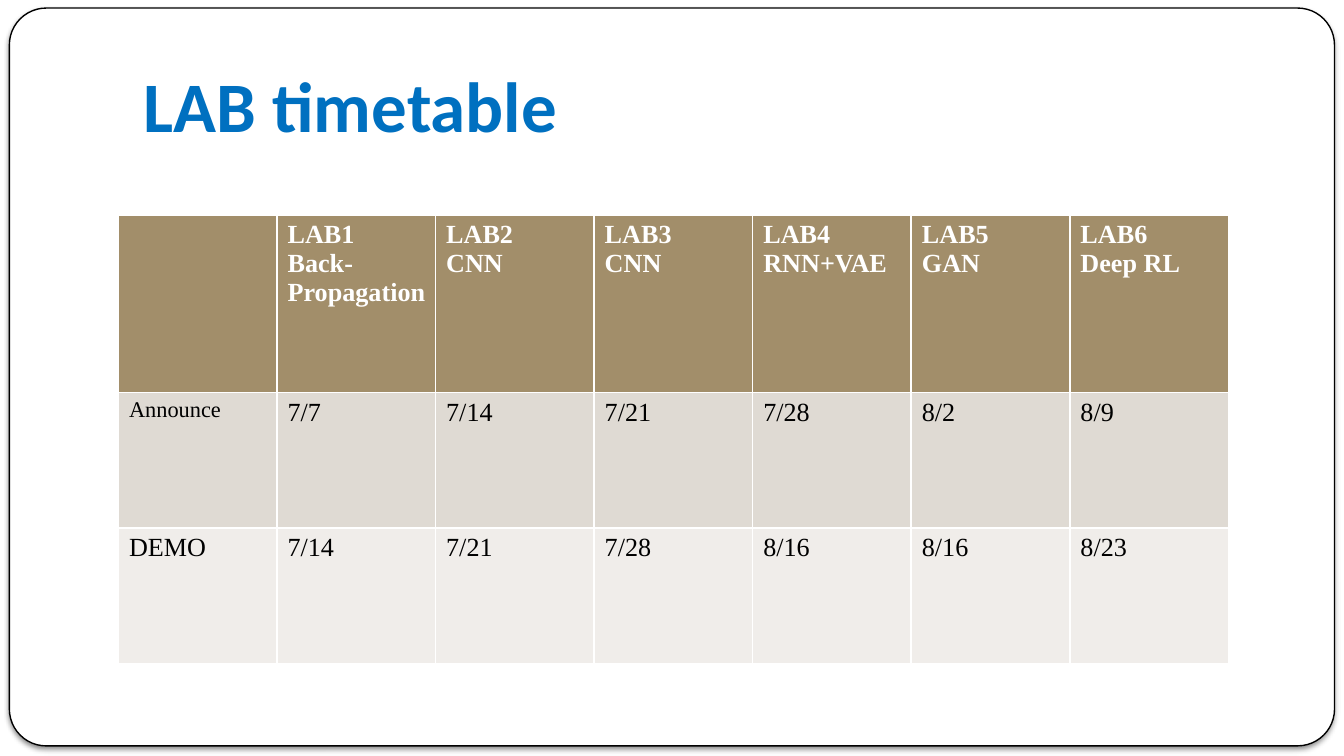
from dataclasses import dataclass

from lxml import etree
from pptx import Presentation
from pptx.dml.color import RGBColor
from pptx.enum.shapes import MSO_SHAPE
from pptx.enum.text import MSO_ANCHOR, PP_ALIGN
from pptx.oxml import parse_xml
from pptx.oxml.ns import qn
from pptx.util import Inches, Pt

ROUNDED = MSO_SHAPE.ROUNDED_RECTANGLE
BOTTOM = MSO_ANCHOR.BOTTOM
LEFT = PP_ALIGN.LEFT
A_NS = "http://schemas.openxmlformats.org/drawingml/2006/main"


@dataclass(frozen=True)
class Theme:
    white: str = "FFFFFF"
    black: str = "000000"
    blue: str = "0070C0"
    header: str = "A28E6A"
    bands: tuple = ("DFDAD3", "F0EDEA")
    title_font: str = "Calibri"
    body_font: str = "Times New Roman"
    title_size: int = 38
    body_size: int = 14
    small_size: int = 12
    rule: float = 0.96


THEME = Theme()
HEADINGS = ["", "LAB1\nBack-Propagation", "LAB2\nCNN", "LAB3\nCNN",
            "LAB4\nRNN+VAE", "LAB5\nGAN", "LAB6\nDeep RL"]
ANNOUNCE = ["Announce", "7/7", "7/14", "7/21", "7/28", "8/2", "8/9"]
DEMO = ["DEMO", "7/14", "7/21", "7/28", "8/16", "8/16", "8/23"]
ROW_HEIGHTS = [1.32, 1.01, 1.01]


def set_attrs(target, values):
    for name, value in values.items():
        setattr(target, name, value)


def fill_solid(fill, color):
    fill.solid()
    fill.fore_color.rgb = RGBColor.from_string(color)


def write(tf, text, font, size, color, bold):
    tf.text = text
    for p in tf.paragraphs:
        p.alignment = LEFT
        for r in p.runs:
            set_attrs(r.font, {"name": font, "size": Pt(size), "bold": bold})
            r.font.color.rgb = RGBColor.from_string(color)


def add_borders(cell, color, width):
    tc_pr = cell._tc.get_or_add_tcPr()
    for side in ("lnL", "lnR", "lnT", "lnB"):
        ln = etree.SubElement(tc_pr, qn(f"a:{side}"), w=str(Pt(width)))
        solid = etree.SubElement(ln, qn("a:solidFill"))
        etree.SubElement(solid, qn("a:srgbClr"), val=color)


def add_frame(slide, box):
    sp = slide.shapes.add_shape(ROUNDED, *map(Inches, box))
    sp.adjustments[0] = 0.05
    fill_solid(sp.fill, THEME.white)
    sp.line.color.rgb = RGBColor.from_string(THEME.black)
    sp.line.width = Pt(0.75)
    sp._element.spPr.append(parse_xml(
        f'<a:effectLst xmlns:a="{A_NS}"><a:outerShdw blurRad="{Pt(3)}" '
        f'dist="{Pt(2)}" dir="5400000" algn="t" rotWithShape="0">'
        f'<a:srgbClr val="{THEME.black}"><a:alpha val="50000"/></a:srgbClr>'
        '</a:outerShdw></a:effectLst>'))
    slide.shapes._spTree.insert(2, sp._element)


def place_title(slide, box, text):
    title = slide.shapes.title
    set_attrs(title, dict(zip(("left", "top", "width", "height"), map(Inches, box))))
    tf = title.text_frame
    set_attrs(tf, {"word_wrap": True, "vertical_anchor": BOTTOM,
                   "margin_left": Inches(0.07), "margin_right": Inches(0.07),
                   "margin_top": Inches(0.04), "margin_bottom": Inches(0.08)})
    write(tf, text, THEME.title_font, THEME.title_size, THEME.blue, True)


def add_timetable(slide, box, rows):
    table = slide.shapes.add_table(len(rows), len(rows[0]), *map(Inches, box)).table
    for col in table.columns:
        col.width = Inches(box[2] / len(rows[0]))
    fills = (THEME.header, *THEME.bands)
    for i, (labels, height, color) in enumerate(zip(rows, ROW_HEIGHTS, fills)):
        table.rows[i].height = Inches(height)
        is_header = i == 0
        for cell, label in zip(table.rows[i].cells, labels):
            set_attrs(cell, {"margin_left": Inches(0.08), "margin_right": Inches(0.07),
                             "margin_top": Inches(0.04), "margin_bottom": Inches(0.04)})
            add_borders(cell, THEME.white, THEME.rule)
            fill_solid(cell.fill, color)
            size = THEME.small_size if label == "Announce" else THEME.body_size
            ink = THEME.white if is_header else THEME.black
            write(cell.text_frame, label, THEME.body_font, size, ink, is_header)


def build_timetable_slide(prs):
    slide = prs.slides.add_slide(prs.slide_layouts[5])
    fill_solid(slide.background.fill, THEME.white)
    add_frame(slide, (0.07, 0.06, 9.86, 5.49))
    place_title(slide, (1, 0.23, 8.5, 0.94), "LAB timetable")
    add_timetable(slide, (0.88, 1.6, 8.26, sum(ROW_HEIGHTS)), [HEADINGS, ANNOUNCE, DEMO])


prs = Presentation()
set_attrs(prs, {"slide_width": Inches(10), "slide_height": Inches(10) * 9 // 16})
build_timetable_slide(prs)
prs.save("out.pptx")
